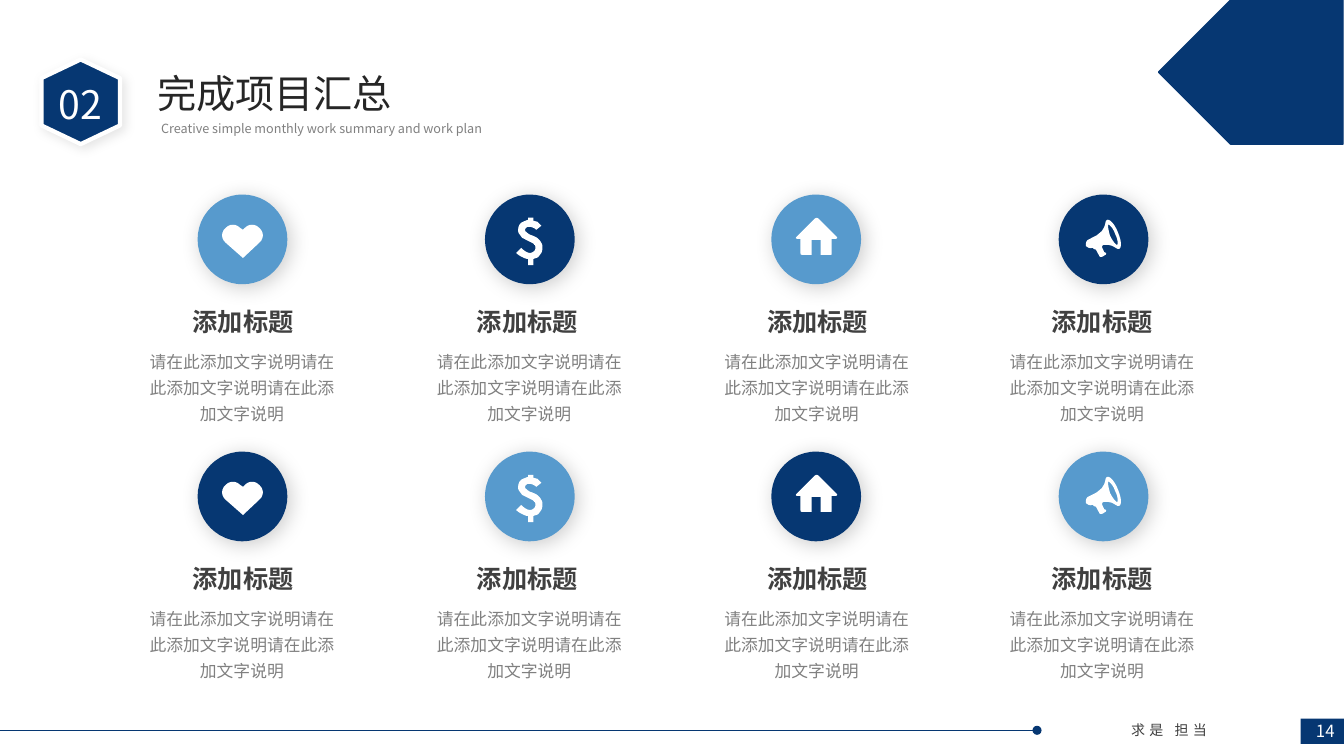
import dataclasses

import lxml.etree
import pptx
import pptx.dml.color
import pptx.enum.shapes
import pptx.enum.text
import pptx.oxml
import pptx.oxml.ns
import pptx.util

Inches = pptx.util.Inches
Pt = pptx.util.Pt
SHAPE = pptx.enum.shapes.MSO_SHAPE
CENTER = pptx.enum.text.PP_ALIGN.CENTER
MIDDLE = pptx.enum.text.MSO_ANCHOR.MIDDLE


@dataclasses.dataclass(frozen=True)
class Theme:
    font: str = "Noto Sans CJK SC"
    navy: str = "063772"
    sky: str = "579ACD"
    white: str = "FFFFFF"
    ink: str = "262626"
    dark: str = "404040"
    grey: str = "808080"
    heading: int = 28
    item: int = 18
    body: int = 12
    footer: int = 10
    caption: int = 9


THEME = Theme()

# Icon outlines, in hundredths of an inch from the disc's top left corner
HEART = """M 61 33 C 57 29 51 29 47 33 L 45 35 42 33 C 38 29 32 29 28 33
    23 37 23 44 28 48 L 45 63 61 48 C 66 44 66 37 61 33"""
DOLLAR = """M 56 31 L 51 35 C 49 33 46 32 44 32 43 32 42 32 41 33
    40 34 40 34 40 35 40 36 40 37 41 37 42 38 43 39 45 40
    49 41 52 43 53 44 54 45 55 46 56 48 57 49 57 51 57 53
    57 54 57 56 56 58 55 59 54 61 53 62 52 63 50 63 48 64
    L 48 70 43 70 43 64 C 41 64 39 63 37 62 35 61 33 60 31 58
    L 36 53 C 39 56 42 58 45 58 46 58 48 57 49 56 50 55 50 54 50 53
    50 51 50 50 49 50 49 49 47 48 45 47 41 45 39 44 37 43
    36 42 35 40 34 39 33 38 33 36 33 35 33 32 34 30 36 28
    38 27 40 26 43 25 L 43 23 48 23 48 26 C 49 26 51 27 52 27
    53 28 54 29 56 31"""
HOUSE = """M 65 42 L 47 24 C 46 23 44 23 43 24 L 25 42 C 24 43 24 44 26 44
    L 29 44 29 58 C 29 59 29 60 31 60 L 40 60 40 45 49 45 49 60 59 60
    C 60 60 60 59 60 58 L 60 44 64 44 C 65 44 66 43 65 42"""
MEGAPHONE = """M 58 50 C 57 50 54 47 51 41 49 35 49 30 49 30
    50 29 54 33 56 39 59 45 59 50 58 50
    M 59 38 C 56 30 51 24 48 25 44 27 51 36 29 45 27 46 27 49 27 51
    28 52 31 54 33 53 33 53 34 53 34 53 35 55 37 54 37 55
    38 56 39 59 40 60 40 61 41 62 42 62 43 62 45 61 46 60
    47 60 47 59 47 58 47 58 45 57 45 57 45 56 43 53 43 52
    43 51 44 50 45 50 55 49 57 55 60 54 63 53 62 45 59 38"""

# Each column: disc left, title left, description left, icon
COLUMNS = [
    (1.96, 1.4, 1.31, HEART),
    (4.81, 4.22, 4.16, DOLLAR),
    (7.65, 7.1, 7.01, HOUSE),
    (10.5, 9.92, 9.84, MEGAPHONE),
]
ROWS = [(1.93, (THEME.sky, THEME.navy)), (4.48, (THEME.navy, THEME.sky))]
DESCRIPTION = "请在此添加文字说明" * 3


def rgb(color):
    return pptx.dml.color.RGBColor.from_string(color)


def set_all(target, values):
    for name, value in values.items():
        setattr(target, name, value)


def paint(shape, fill, outline=None, width=1):
    shape.shadow.inherit = False
    shape.fill.solid()
    shape.fill.fore_color.rgb = rgb(fill)
    if outline:
        shape.line.color.rgb = rgb(outline)
        shape.line.width = Pt(width)
    else:
        shape.line.fill.background()


def cast_shadow(shape, alpha, blur):
    effects = shape._element.spPr.find(pptx.oxml.ns.qn("a:effectLst"))
    effects.append(pptx.oxml.parse_xml(
        f'<a:outerShdw {pptx.oxml.ns.nsdecls("a")} blurRad="{Pt(blur)}" '
        f'dist="{Pt(3)}" dir="2700000" algn="tl" rotWithShape="0">'
        f'<a:srgbClr val="000000"><a:alpha val="{alpha * 1000}"/></a:srgbClr>'
        '</a:outerShdw>'))


def add_preset(slide, kind, box, fill, outline=None, width=1):
    shape = slide.shapes.add_shape(kind, *map(Inches, box))
    paint(shape, fill, outline, width)
    return shape


def add_label(slide, text, box, size, color, frame=None, bold=False,
              spacing=None, **paragraph_format):
    label = slide.shapes.add_textbox(*map(Inches, box)).text_frame
    set_all(label, {"word_wrap": True, **(frame or {})})
    paragraph = label.paragraphs[0]
    set_all(paragraph, paragraph_format)
    run = paragraph.add_run()
    run.text = text
    set_all(run.font, {"size": Pt(size), "name": THEME.font, "bold": bold})
    run.font.color.rgb = rgb(color)
    properties = run._r.get_or_add_rPr()
    east_asian = lxml.etree.SubElement(properties, pptx.oxml.ns.qn("a:ea"))
    east_asian.set("typeface", THEME.font)
    if spacing:
        properties.set("spc", str(spacing * 100))


def curve_points(ends, steps=6):
    """Points along a cubic curve, after its start."""
    for step in range(1, steps + 1):
        t = step / steps
        weights = ((1 - t) ** 3, 3 * t * (1 - t) ** 2, 3 * t * t * (1 - t), t ** 3)
        yield tuple(sum(w * end[axis] for w, end in zip(weights, ends))
                    for axis in (0, 1))


def trace(outline):
    """Turn an outline of M, L and C commands into lists of points."""
    contours, command, pending = [], "", []
    tokens = iter(outline.split())
    for token in tokens:
        if token.isalpha():
            command = token
            continue
        # Thousandths of an inch keep the curves smooth
        point = (int(token) * 10, int(next(tokens)) * 10)
        if command == "M":
            contours.append([point])
        elif command == "L":
            contours[-1].append(point)
        else:
            pending.append(point)
            if len(pending) == 3:
                contours[-1].extend(curve_points([contours[-1][-1], *pending]))
                pending = []
    return contours


def add_icon(slide, outline, left, top):
    first, *others = trace(outline)
    builder = slide.shapes.build_freeform(*first[0], scale=Inches(0.001))
    builder.add_line_segments(first[1:], close=True)
    for contour in others:
        builder.move_to(*contour[0])
        builder.add_line_segments(contour[1:], close=True)
    paint(builder.convert_to_shape(Inches(left), Inches(top)), THEME.white)


def add_item(slide, column, top, disc_color):
    disc_left, title_left, description_left, icon = column
    disc = add_preset(slide, SHAPE.OVAL, (disc_left, top, 0.89, 0.89), disc_color)
    cast_shadow(disc, alpha=20, blur=15)
    add_icon(slide, icon, disc_left, top)
    add_label(slide, "添加标题", (title_left, top + 1.11, 2.02, 0.34),
              THEME.item, THEME.dark, bold=True, alignment=CENTER, line_spacing=0.9,
              frame={"vertical_anchor": MIDDLE, "margin_left": 0, "margin_right": 0})
    add_label(slide, DESCRIPTION, (description_left, top + 1.45, 2.18, 0.89),
              THEME.body, THEME.grey, alignment=CENTER, line_spacing=1.3)


def add_header(slide):
    banner = add_preset(slide, SHAPE.PENTAGON, (11.49, 0, 1.83, 1.43),
                        THEME.navy, THEME.navy)
    banner.rotation = 180
    badge = add_preset(slide, SHAPE.HEXAGON, (0.38, 0.62, 0.84, 0.78),
                       THEME.navy, THEME.white, 3)
    badge.rotation = 90
    badge.adjustments[0] = 0.238
    cast_shadow(badge, alpha=10, blur=8)
    add_label(slide, "02", (0.48, 0.75, 0.64, 0.57), THEME.heading, THEME.white,
              frame={"word_wrap": False}, alignment=CENTER)
    add_label(slide, "完成项目汇总", (1.46, 0.64, 2.56, 0.57), THEME.heading,
              THEME.ink, frame={"word_wrap": False})
    add_label(slide, "Creative simple monthly work summary and work plan",
              (1.5, 1.08, 3.93, 0.3), THEME.caption, THEME.grey, line_spacing=1.5)


def add_footer(slide):
    rule = slide.shapes.add_connector(
        pptx.enum.shapes.MSO_CONNECTOR.STRAIGHT,
        0, Inches(7.25), Inches(10.28), Inches(7.25))
    rule.line.color.rgb = rgb(THEME.navy)
    rule.line.width = Pt(1)
    lxml.etree.SubElement(rule._element.spPr, pptx.oxml.ns.qn("a:effectLst"))
    add_preset(slide, SHAPE.OVAL, (10.24, 7.2, 0.09, 0.09), THEME.navy)
    add_label(slide, "求是 担当", (10.31, 7.11, 2.57, 0.28), THEME.footer,
              THEME.dark, spacing=3, alignment=CENTER)
    add_preset(slide, SHAPE.RECTANGLE, (12.9, 7.13, 0.43, 0.25), THEME.navy)
    add_label(slide, "14", (12.78, 7.1, 0.73, 0.3), THEME.body, THEME.white,
              alignment=CENTER)


def main():
    deck = pptx.Presentation()
    set_all(deck, {"slide_width": Inches(13.33), "slide_height": Inches(7.5)})
    slide = deck.slides.add_slide(deck.slide_layouts[6])
    add_header(slide)
    add_footer(slide)
    # Grid of items, with disc colours alternating along each row
    for top, colors in ROWS:
        for index, column in enumerate(COLUMNS):
            add_item(slide, column, top, colors[index % 2])
    deck.save("out.pptx")


if __name__ == "__main__":
    main()
